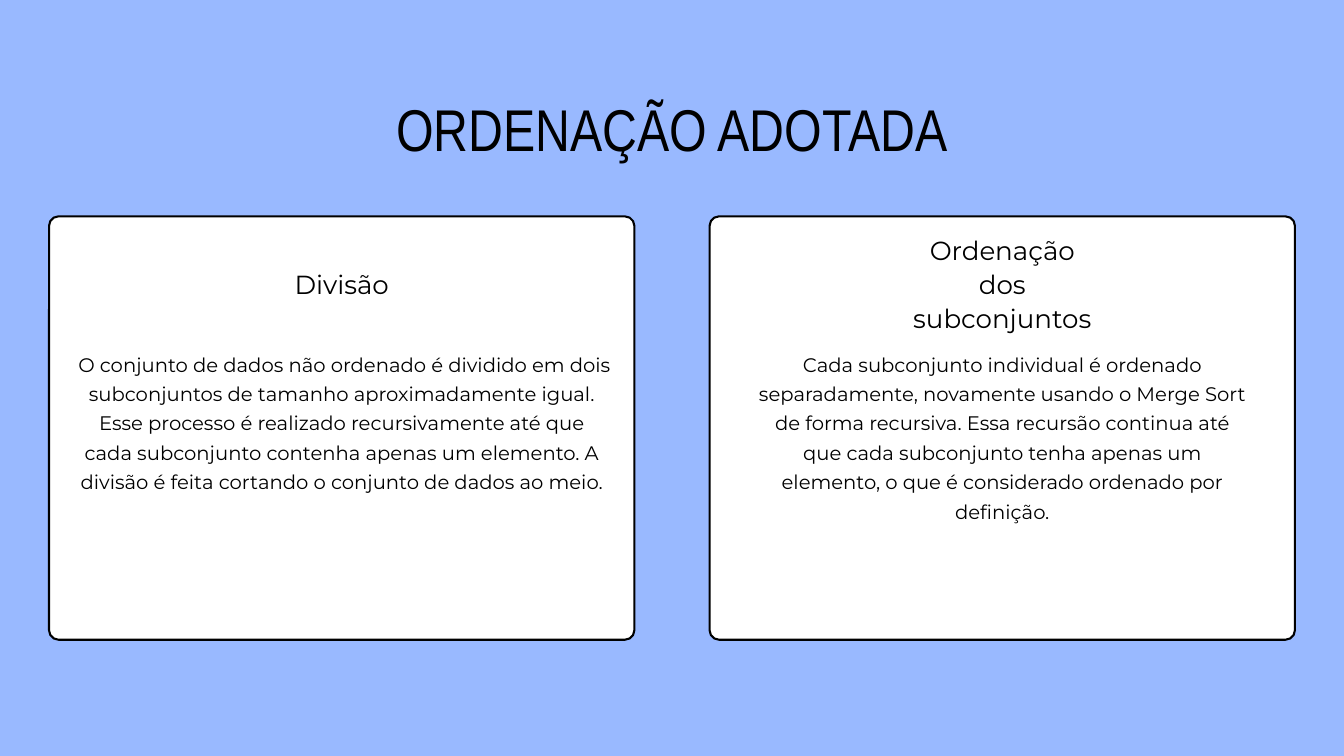
"""Build the slide on the sorting method, with two cards below a title."""
import pptx
import pptx.util
import pptx.dml.color
import pptx.enum.shapes
import pptx.enum.text

Inches, Pt = pptx.util.Inches, pptx.util.Pt

BLUE, WHITE, BLACK = "99B9FF", "FFFFFF", "000000"
SLIDE_W, SLIDE_H = 20, 11.25
CARD_W, CARD_H, CARD_TOP, MARGIN, RADIUS = 8.71, 6.3, 3.22, 0.73, 0.14
HEADING_W, HEADING_MID, BODY_TOP, BODY_H = 2.91, 4.2, 5.16, 2.6

TITLE = "ORDENAÇÃO ADOTADA"
CARDS = [
    {"heading": "Divisão", "heading_h": 0.49, "body_w": 8,
     "body": " O conjunto de dados não ordenado é dividido em dois subconjuntos "
             "de tamanho aproximadamente igual. Esse processo é realizado "
             "recursivamente até que cada subconjunto contenha apenas um elemento. "
             "A divisão é feita cortando o conjunto de dados ao meio."},
    {"heading": "Ordenação dos subconjuntos", "heading_h": 1.49, "body_w": 7.36,
     "body": "Cada subconjunto individual é ordenado separadamente, novamente "
             "usando o Merge Sort de forma recursiva. Essa recursão continua até "
             "que cada subconjunto tenha apenas um elemento, o que é considerado "
             "ordenado por definição."},
]
STYLES = {
    "title": ({"name": "Arial Narrow", "size": Pt(63.1)}, 63.8),
    "heading": ({"name": "Montserrat", "size": Pt(28)}, 36.4),
    "body": ({"name": "Montserrat", "size": Pt(21)}, 31.5),
}


def rgb(value):
    return pptx.dml.color.RGBColor.from_string(value)


def add_text(s, text, style, mid, top, w, h):
    font, spacing = STYLES[style]
    sp = s.shapes.add_textbox(Inches(mid - w / 2), Inches(top), Inches(w), Inches(h))
    tf = sp.text_frame
    frame = {"word_wrap": True, "margin_left": 0, "margin_right": 0,
             "margin_top": 0, "margin_bottom": 0}
    for name, value in frame.items():
        setattr(tf, name, value)
    p = tf.paragraphs[0]
    p.alignment = pptx.enum.text.PP_ALIGN.CENTER
    p.line_spacing = Pt(spacing)
    r = p.add_run()
    r.text = text
    for name, value in font.items():
        setattr(r.font, name, value)
    r.font.color.rgb = rgb(BLACK)


def add_card(s, card, left):
    sp = s.shapes.add_shape(
        pptx.enum.shapes.MSO_SHAPE.ROUNDED_RECTANGLE,
        Inches(left), Inches(CARD_TOP), Inches(CARD_W), Inches(CARD_H))
    sp.adjustments[0] = RADIUS / CARD_H
    sp.shadow.inherit = False
    sp.fill.solid()
    sp.fill.fore_color.rgb = rgb(WHITE)
    sp.line.color.rgb = rgb(BLACK)
    sp.line.width = Pt(2.25)
    mid = left + CARD_W / 2
    h = card["heading_h"]
    add_text(s, card["heading"], "heading", mid, HEADING_MID - h / 2, HEADING_W, h)
    add_text(s, card["body"], "body", mid + 0.05 * (left < MARGIN) , BODY_TOP, card["body_w"], BODY_H)


def main():
    prs = pptx.Presentation()
    prs.slide_width, prs.slide_height = Inches(SLIDE_W), Inches(SLIDE_H)
    s = prs.slides.add_slide(prs.slide_layouts[6])
    s.background.fill.solid()
    s.background.fill.fore_color.rgb = rgb(BLUE)
    add_text(s, TITLE, "title", SLIDE_W / 2, 1.55, 9.82, 0.95)
    step = SLIDE_W - 2 * MARGIN - CARD_W
    for i, card in enumerate(CARDS):
        add_card(s, card, MARGIN + i * step)
    prs.save("out.pptx")


if __name__ == "__main__":
    main()
